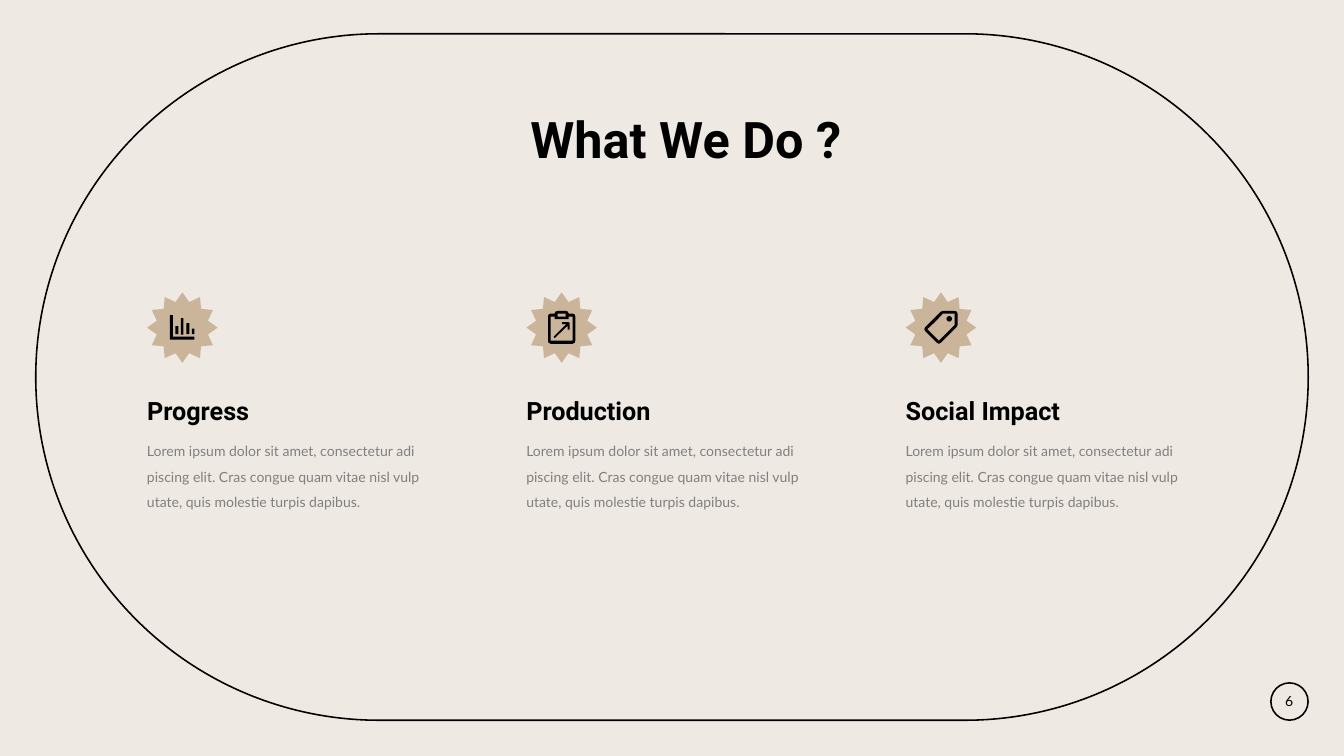
import dataclasses

import pptx
import pptx.dml.color
import pptx.enum.shapes
import pptx.enum.text
import pptx.util

RGBColor = pptx.dml.color.RGBColor
SHAPE = pptx.enum.shapes.MSO_SHAPE
ALIGN = pptx.enum.text.PP_ALIGN
ANCHOR = pptx.enum.text.MSO_ANCHOR

CREAM = RGBColor(0xEE, 0xE9, 0xE3)
TAN = RGBColor(0xCA, 0xB5, 0x9A)
BLACK = RGBColor(0, 0, 0)
GRAY = RGBColor(0x80, 0x80, 0x80)

ICON_GRID = 140
COLUMN_LEFT, COLUMN_PITCH = 10.57, 28.22

BODY = (
    "Lorem ipsum dolor sit amet, consectetur adi piscing elit. "
    "Cras congue quam vitae nisl vulp utate, quis molestie turpis dapibus."
)

CHART_ICON = {
    "outlines": [[[(51, 88), (51, 45), (45, 45), (45, 94), (94, 94), (94, 88)]]],
    "bars": [(56, 67, 6, 16), (67, 51, 5, 33), (78, 61, 6, 22), (89, 72, 5, 11)],
    "dots": [],
}
CLIPBOARD_ICON = {
    "outlines": [
        [[(83, 59), (71, 59), (71, 63), (79, 63), (54, 88), (56, 91),
          (82, 66), (82, 74), (86, 74), (86, 61), (85, 60)]],
        [
            [(92, 42), (84, 42), (82, 38), (78, 37), (62, 37), (58, 38),
             (56, 42), (48, 42), (44, 44), (43, 48), (43, 96), (44, 100),
             (48, 102), (92, 102), (96, 100), (97, 96), (97, 48), (96, 44)],
            [(62, 42), (78, 42), (78, 48), (62, 48)],
            [(92, 96), (48, 96), (48, 48), (56, 48), (56, 53), (84, 53),
             (84, 48), (92, 48)],
        ],
    ],
    "bars": [],
    "dots": [],
}
TAG_ICON = {
    "outlines": [[
        [(97, 37), (75, 37), (70, 38), (39, 69), (37, 73), (39, 77), (62, 100),
         (66, 102), (70, 100), (101, 69), (103, 65), (103, 42), (101, 38)],
        [(97, 65), (66, 96), (43, 73), (60, 57), (74, 42), (97, 42)],
    ]],
    "bars": [],
    "dots": [(81, 47, 11, 11)],
}
SERVICES = [
    ("Progress", CHART_ICON),
    ("Production", CLIPBOARD_ICON),
    ("Social Impact", TAG_ICON),
]


@dataclasses.dataclass
class Box:
    """Rectangle on the slide, in EMU."""

    left: int
    top: int
    width: int
    height: int

    def area(self, left, top, width, height, grid=100):
        """Return the box at the given columns and rows of a square-count grid."""
        return Box(
            round(self.left + self.width * left / grid),
            round(self.top + self.height * top / grid),
            round(self.width * width / grid),
            round(self.height * height / grid),
        )

    def edges(self):
        """Return left, top, width and height."""
        return self.left, self.top, self.width, self.height


def style_shape(shape, fill=None, line=None):
    """Give a shape a flat fill and line, or none."""
    shape.shadow.inherit = False
    if fill is None:
        shape.fill.background()
    else:
        shape.fill.solid()
        shape.fill.fore_color.rgb = fill
    if line is None:
        shape.line.fill.background()
    else:
        shape.line.color.rgb = line
        shape.line.width = pptx.util.Pt(2.25)


def add_preset(shapes, kind, box, fill=None, line=None):
    """Add a styled preset shape."""
    shape = shapes.add_shape(kind, *box.edges())
    style_shape(shape, fill, line)
    return shape


def add_outline(shapes, box, contours):
    """Add one black freeform whose later contours are holes."""
    builder = shapes.build_freeform(*contours[0][0], scale=box.width / ICON_GRID)
    builder.add_line_segments(contours[0][1:], close=True)
    for contour in contours[1:]:
        builder.move_to(*contour[0])
        builder.add_line_segments(contour[1:], close=True)
    style_shape(builder.convert_to_shape(box.left, box.top), BLACK)


def write_text(shape, text, font_name, size, color, bold=False,
               align=ALIGN.LEFT, anchor=ANCHOR.TOP, spacing=1.5):
    """Write one formatted run into a shape."""
    frame = shape.text_frame
    frame.word_wrap = True
    frame.auto_size = pptx.enum.text.MSO_AUTO_SIZE.NONE
    frame.vertical_anchor = anchor
    paragraph = frame.paragraphs[0]
    paragraph.alignment = align
    paragraph.line_spacing = spacing
    run = paragraph.add_run()
    run.text = text
    run.font.name = font_name
    run.font.size = pptx.util.Pt(size)
    run.font.bold = bold
    run.font.color.rgb = color


def place_title(slide, box):
    """Place and format the title placeholder."""
    title = slide.shapes.title
    title.left, title.top, title.width, title.height = box.edges()
    write_text(title, "What We Do ?", "Roboto", 72, BLACK, True,
               ALIGN.CENTER, ANCHOR.BOTTOM)


def place_icon(slide, box, icon):
    """Place a star badge with its grouped icon."""
    add_preset(slide.shapes, SHAPE.STAR_12_POINT, box, TAN)
    shapes = slide.shapes.add_group_shape().shapes
    for contours in icon["outlines"]:
        add_outline(shapes, box, contours)
    for kind, cells in ((SHAPE.RECTANGLE, icon["bars"]), (SHAPE.OVAL, icon["dots"])):
        for cell in cells:
            add_preset(shapes, kind, box.area(*cell, grid=ICON_GRID), BLACK)


def place_service(slide, box, heading, icon):
    """Place one column: badge, heading and body text."""
    place_icon(slide, box.area(1.61, 0, 22.47, 31.89), icon)
    heading_box = slide.shapes.add_textbox(*box.area(0, 38.72, 79.29, 23.01).edges())
    write_text(heading_box, heading, "Roboto", 36, BLACK, True)
    body_box = slide.shapes.add_textbox(*box.area(0, 63.1, 100, 36.9).edges())
    write_text(body_box, BODY, "Lato", 20, GRAY)


def place_page_number(slide, box):
    """Place the circled page number."""
    add_preset(slide.shapes, SHAPE.OVAL, box, line=BLACK)
    number = slide.shapes.add_textbox(*box.area(8, 20, 82, 60).edges())
    write_text(number, "6", "Lato", 20, BLACK, align=ALIGN.CENTER, spacing=1)


def main():
    """Build the slide and save it."""
    presentation = pptx.Presentation()
    presentation.slide_width = pptx.util.Inches(26.67)
    presentation.slide_height = pptx.util.Inches(15)
    page = Box(0, 0, presentation.slide_width, presentation.slide_height)
    slide = presentation.slides.add_slide(presentation.slide_layouts[5])
    slide.background.fill.solid()
    slide.background.fill.fore_color.rgb = CREAM

    place_page_number(slide, page.area(94.56, 90.33, 2.77, 4.93))
    place_title(slide, page.area(33.18, 9.87, 35.7, 12.8))
    for index, (heading, icon) in enumerate(SERVICES):
        left = COLUMN_LEFT + index * COLUMN_PITCH
        place_service(slide, page.area(left, 38.67, 23.36, 29.27), heading, icon)
    frame = add_preset(slide.shapes, SHAPE.ROUNDED_RECTANGLE,
                       page.area(2.66, 4.47, 94.68, 90.8), line=BLACK)
    frame.adjustments[0] = 0.5
    presentation.save("out.pptx")


if __name__ == "__main__":
    main()
